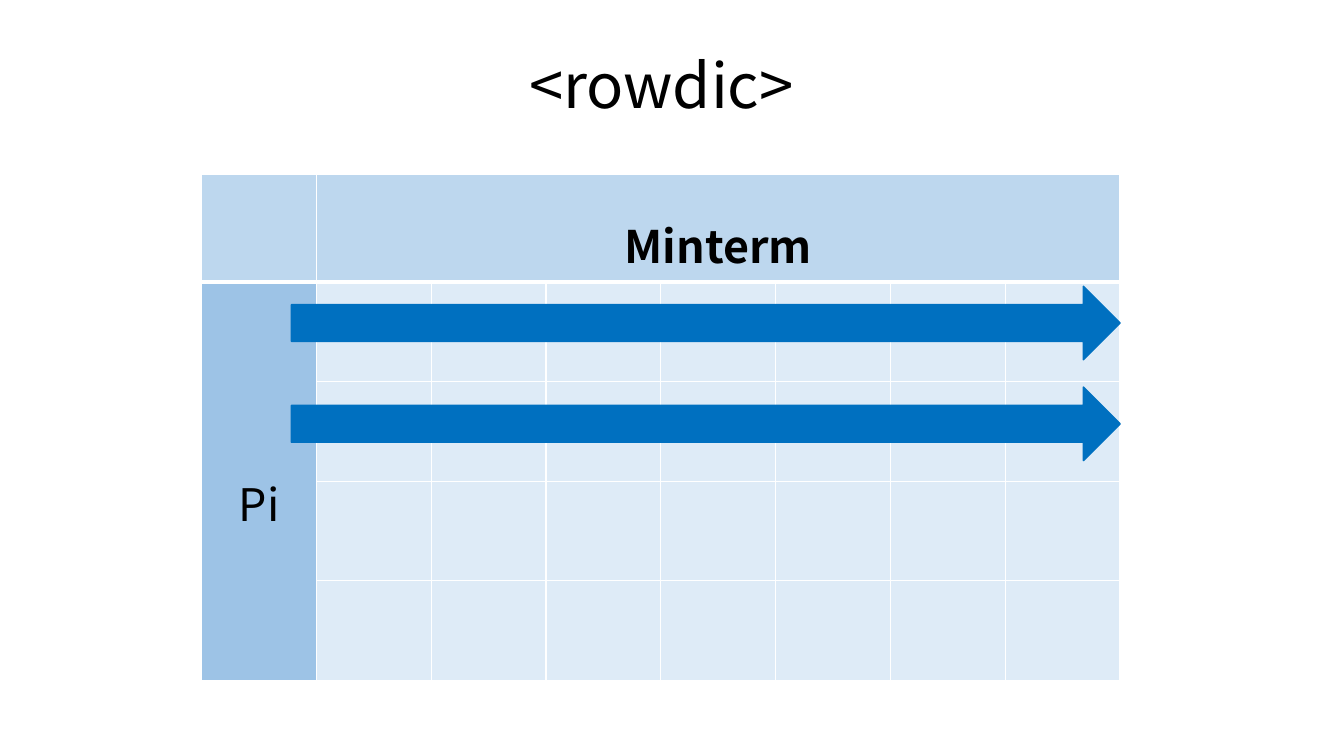
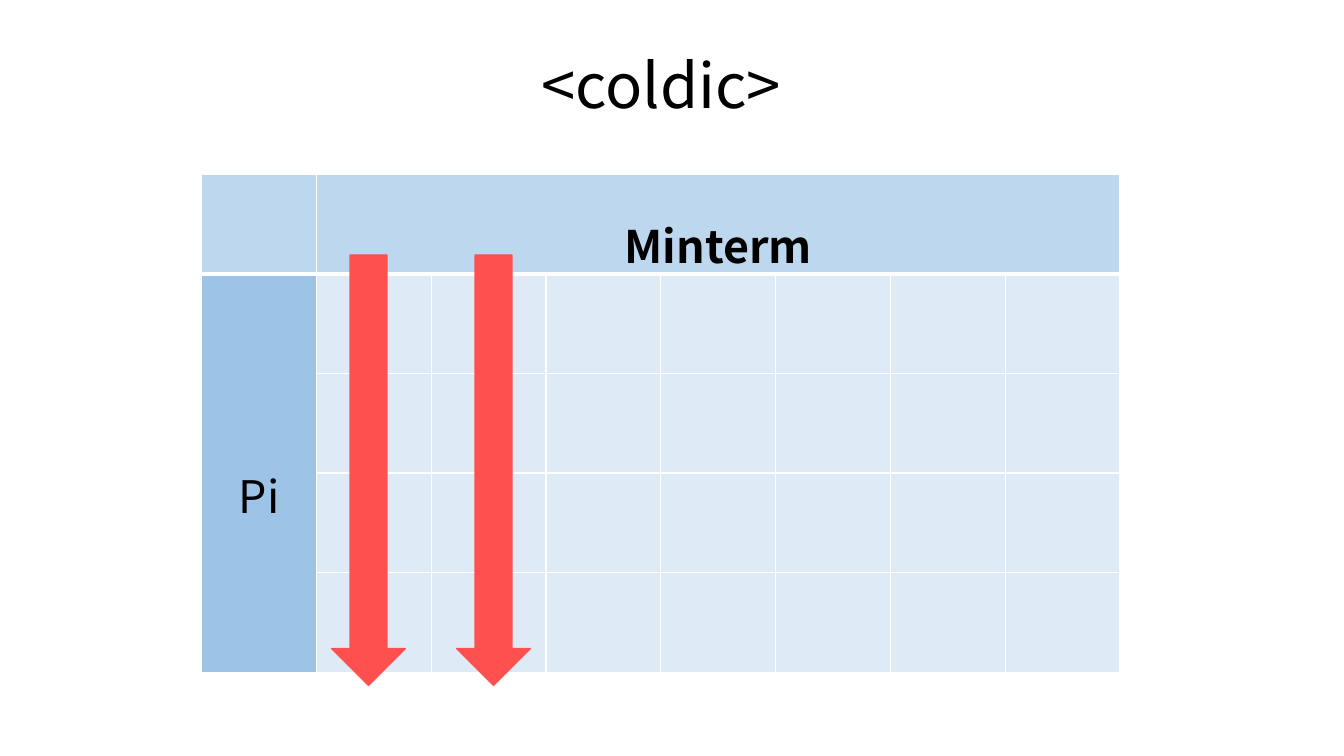
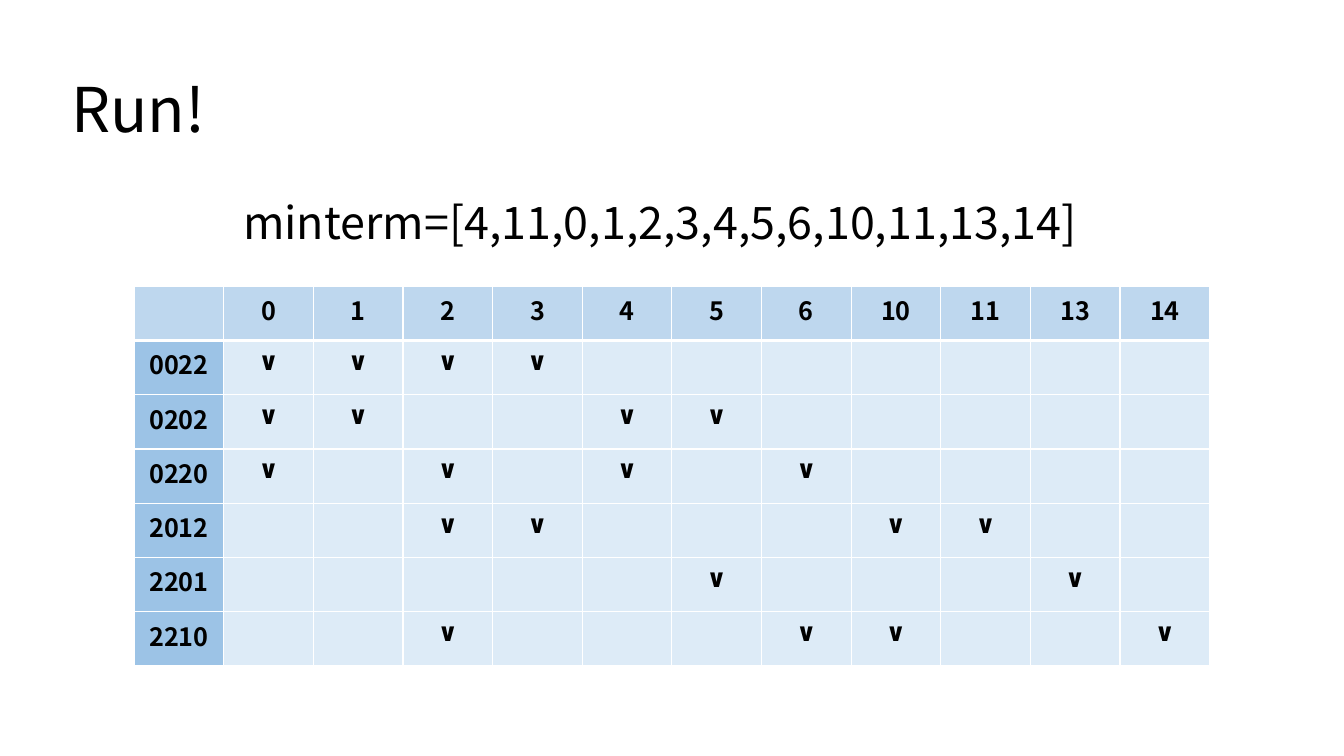
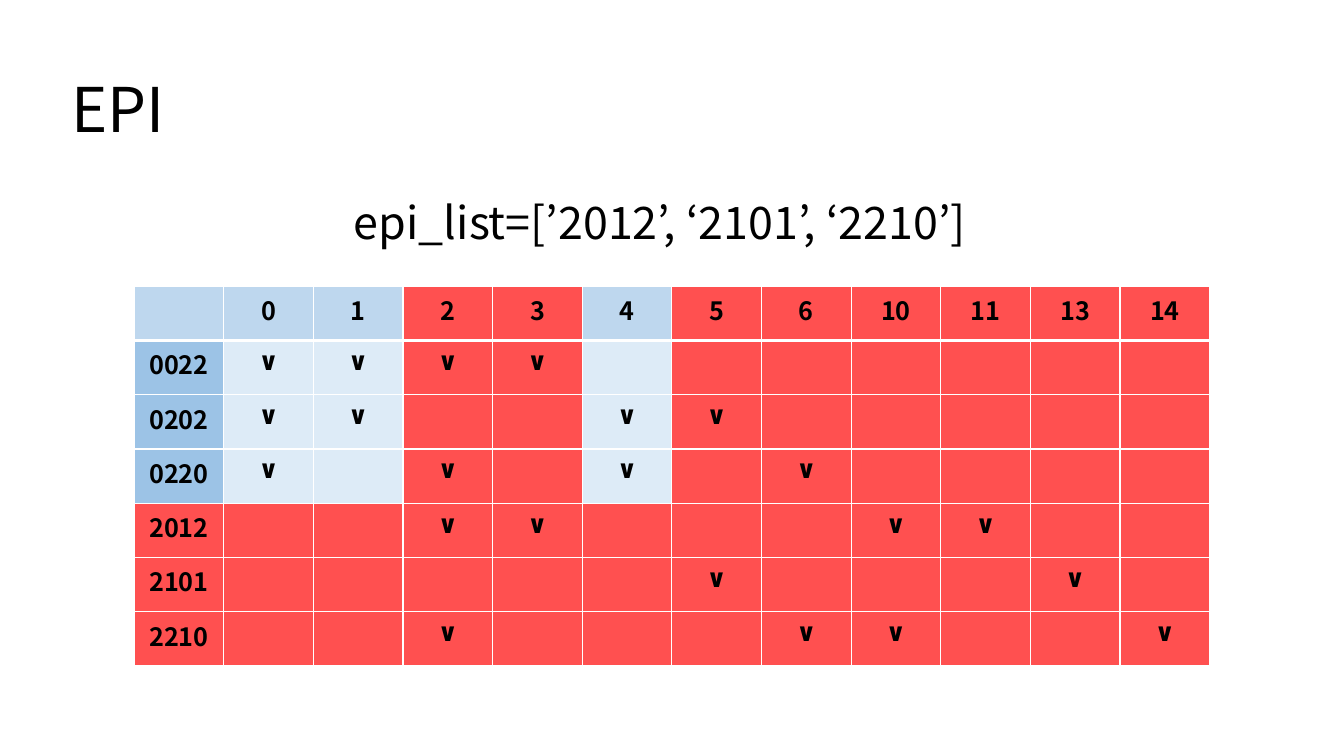
from dataclasses import dataclass

from lxml.etree import SubElement
from pptx import Presentation
from pptx.dml.color import RGBColor
from pptx.enum.shapes import MSO_SHAPE as Preset
from pptx.enum.text import MSO_ANCHOR as Anchor, PP_ALIGN as Align
from pptx.oxml.ns import qn
from pptx.presentation import Presentation as Deck
from pptx.slide import Slide
from pptx.table import Table, _Cell as Cell
from pptx.util import Inches, Pt

BLACK = RGBColor(0x00, 0x00, 0x00)
WHITE = RGBColor(0xFF, 0xFF, 0xFF)
BLUE = RGBColor(0x00, 0x70, 0xC0)
RED = RGBColor(0xFF, 0x50, 0x50)
GRID_HEADER = RGBColor(0xBD, 0xD7, 0xEE)
GRID_SIDE = RGBColor(0x9D, 0xC3, 0xE6)
GRID_BODY = RGBColor(0xDE, 0xEB, 0xF7)
CHART_HEADER = RGBColor(0xBE, 0xD7, 0xEE)
CHART_SIDE = RGBColor(0x9C, 0xC3, 0xE6)
CHART_BODY = RGBColor(0xDD, 0xEB, 0xF7)

FONT = "Noto Sans CJK KR"
MARK_FONT = "Lato"
MARK = "∨"
MINTERMS = (0, 1, 2, 3, 4, 5, 6, 10, 11, 13, 14)


@dataclass(frozen=True)
class Frame:
    left: float
    top: float
    width: float
    height: float


@dataclass(frozen=True)
class ArrowPair:
    first: Frame
    step_right: float
    step_down: float
    color: RGBColor
    rotation: int


@dataclass(frozen=True)
class Implicant:
    code: str
    covers: tuple[int, ...]
    essential: bool = False


CENTERED_TITLE = Frame(0.81, 0.15, 11.5, 1.45)
LEFT_TITLE = Frame(0.61, 0.39, 11.5, 1.45)
SUBTITLE = Frame(0.49, 1.88, 12.35, 0.63)
GRID = Frame(2, 1.73, 9.11, 4.94)
CHART = Frame(1.33, 2.84, 10.67, 3.77)

ROW_ARROWS = ArrowPair(Frame(2.89, 2.84, 8.22, 0.73), 0, 1, BLUE, 0)
COLUMN_ARROWS = ArrowPair(Frame(1.52, 4.3, 4.27, 0.73), 1.24, 0, RED, 90)

SHARED_ROWS = (
    Implicant("0022", (0, 1, 2, 3)),
    Implicant("0202", (0, 1, 4, 5)),
    Implicant("0220", (0, 2, 4, 6)),
)
RUN_ROWS = SHARED_ROWS + (
    Implicant("2012", (2, 3, 10, 11)),
    Implicant("2201", (5, 13)),
    Implicant("2210", (2, 6, 10, 14)),
)
EPI_ROWS = SHARED_ROWS + (
    Implicant("2012", (2, 3, 10, 11), True),
    Implicant("2101", (5, 13), True),
    Implicant("2210", (2, 6, 10, 14), True),
)


def place(frame: Frame) -> tuple[Inches, Inches, Inches, Inches]:
    return (Inches(frame.left), Inches(frame.top),
            Inches(frame.width), Inches(frame.height))


def add_slide(deck: Deck) -> Slide:
    return deck.slides.add_slide(deck.slide_layouts[6])


def add_text(slide: Slide, frame: Frame, text: str, size: int, align: Align,
             spacing: float = 1, right_margin: float = 0.1) -> None:
    area = slide.shapes.add_textbox(*place(frame)).text_frame
    area.word_wrap = True
    area.vertical_anchor = Anchor.MIDDLE
    area.margin_right = Inches(right_margin)
    para = area.paragraphs[0]
    para.text = text
    para.alignment = align
    para.line_spacing = spacing
    para.font.name = FONT
    para.font.size = Pt(size)
    para.font.color.rgb = BLACK


def add_title(slide: Slide, frame: Frame, text: str, align: Align) -> None:
    add_text(slide, frame, text, 44, align, spacing=0.9)


def add_table(slide: Slide, frame: Frame, rows: int, columns: int) -> Table:
    table = slide.shapes.add_table(rows, columns, *place(frame)).table
    table.first_row = False
    table.horz_banding = False
    for column in table.columns:
        column.width = Inches(frame.width / columns)
    for row in table.rows:
        row.height = Inches(frame.height / rows)
    return table


def style_cell(cell: Cell, row: int, color: RGBColor) -> None:
    properties = cell._tc.get_or_add_tcPr()
    weights = {"a:lnL": 1, "a:lnR": 1,
               "a:lnT": 3 if row == 1 else 1,
               "a:lnB": 3 if row == 0 else 1}
    for tag, weight in weights.items():
        line = SubElement(properties, qn(tag), w=str(Pt(weight)))
        fill = SubElement(line, qn("a:solidFill"))
        SubElement(fill, qn("a:srgbClr"), val=str(WHITE))
    cell.fill.solid()
    cell.fill.fore_color.rgb = color


def write_cell(cell: Cell, text: str, size: int, bold: bool = True,
               font: str = FONT, spacing: float = 1) -> None:
    para = cell.text_frame.paragraphs[0]
    para.text = text
    para.alignment = Align.CENTER
    para.line_spacing = spacing
    para.font.name = font
    para.font.size = Pt(size)
    para.font.bold = bold
    para.font.color.rgb = BLACK


def add_minterm_grid(slide: Slide) -> None:
    rows, columns = 5, 8
    table = add_table(slide, GRID, rows, columns)
    for row in range(rows):
        for column in range(columns):
            if row == 0:
                color = GRID_HEADER
            else:
                color = GRID_BODY if column else GRID_SIDE
            style_cell(table.cell(row, column), row, color)
    header, side = table.cell(0, 1), table.cell(1, 0)
    header.merge(table.cell(0, columns - 1))
    side.merge(table.cell(rows - 1, 0))
    write_cell(header, "Minterm", 32, spacing=1.5)
    write_cell(side, "Pi", 32, bold=False)
    side.vertical_anchor = Anchor.MIDDLE
    side.margin_top = Inches(0.47)


def add_arrows(slide: Slide, pair: ArrowPair) -> None:
    first = pair.first
    for index in range(2):
        frame = Frame(first.left + index * pair.step_right,
                      first.top + index * pair.step_down,
                      first.width, first.height)
        arrow = slide.shapes.add_shape(Preset.RIGHT_ARROW, *place(frame))
        arrow.rotation = pair.rotation
        arrow.shadow.inherit = False
        arrow.fill.solid()
        arrow.fill.fore_color.rgb = pair.color
        arrow.line.color.rgb = pair.color
        arrow.line.width = Pt(1)


def add_implicant_chart(slide: Slide, implicants: tuple[Implicant, ...]) -> None:
    table = add_table(slide, CHART, len(implicants) + 1, len(MINTERMS) + 1)
    covered = {minterm for item in implicants if item.essential
               for minterm in item.covers}
    style_cell(table.cell(0, 0), 0, CHART_HEADER)
    for column, minterm in enumerate(MINTERMS, 1):
        cell = table.cell(0, column)
        style_cell(cell, 0, RED if minterm in covered else CHART_HEADER)
        write_cell(cell, str(minterm), 18)
    for row, item in enumerate(implicants, 1):
        side = table.cell(row, 0)
        style_cell(side, row, RED if item.essential else CHART_SIDE)
        write_cell(side, item.code, 18)
        for column, minterm in enumerate(MINTERMS, 1):
            cell = table.cell(row, column)
            crossed = item.essential or minterm in covered
            style_cell(cell, row, RED if crossed else CHART_BODY)
            if minterm in item.covers:
                write_cell(cell, MARK, 18, font=MARK_FONT)


def add_direction_slide(deck: Deck, title: str, arrows: ArrowPair) -> None:
    slide = add_slide(deck)
    add_minterm_grid(slide)
    add_arrows(slide, arrows)
    add_title(slide, CENTERED_TITLE, title, Align.CENTER)


def add_chart_slide(deck: Deck, title: str, subtitle: str,
                    implicants: tuple[Implicant, ...]) -> None:
    slide = add_slide(deck)
    add_title(slide, LEFT_TITLE, title, Align.LEFT)
    add_text(slide, SUBTITLE, subtitle, 32, Align.CENTER, right_margin=0.33)
    add_implicant_chart(slide, implicants)


def main() -> None:
    deck = Presentation()
    deck.slide_width = Inches(13.33)
    deck.slide_height = Inches(7.5)
    add_direction_slide(deck, "<rowdic>", ROW_ARROWS)
    add_direction_slide(deck, "<coldic>", COLUMN_ARROWS)
    add_chart_slide(deck, "Run!", "minterm=[4,11,0,1,2,3,4,5,6,10,11,13,14]", RUN_ROWS)
    add_chart_slide(deck, "EPI", "epi_list=[’2012’, ‘2101’, ‘2210’]", EPI_ROWS)
    deck.save("out.pptx")


if __name__ == "__main__":
    main()
